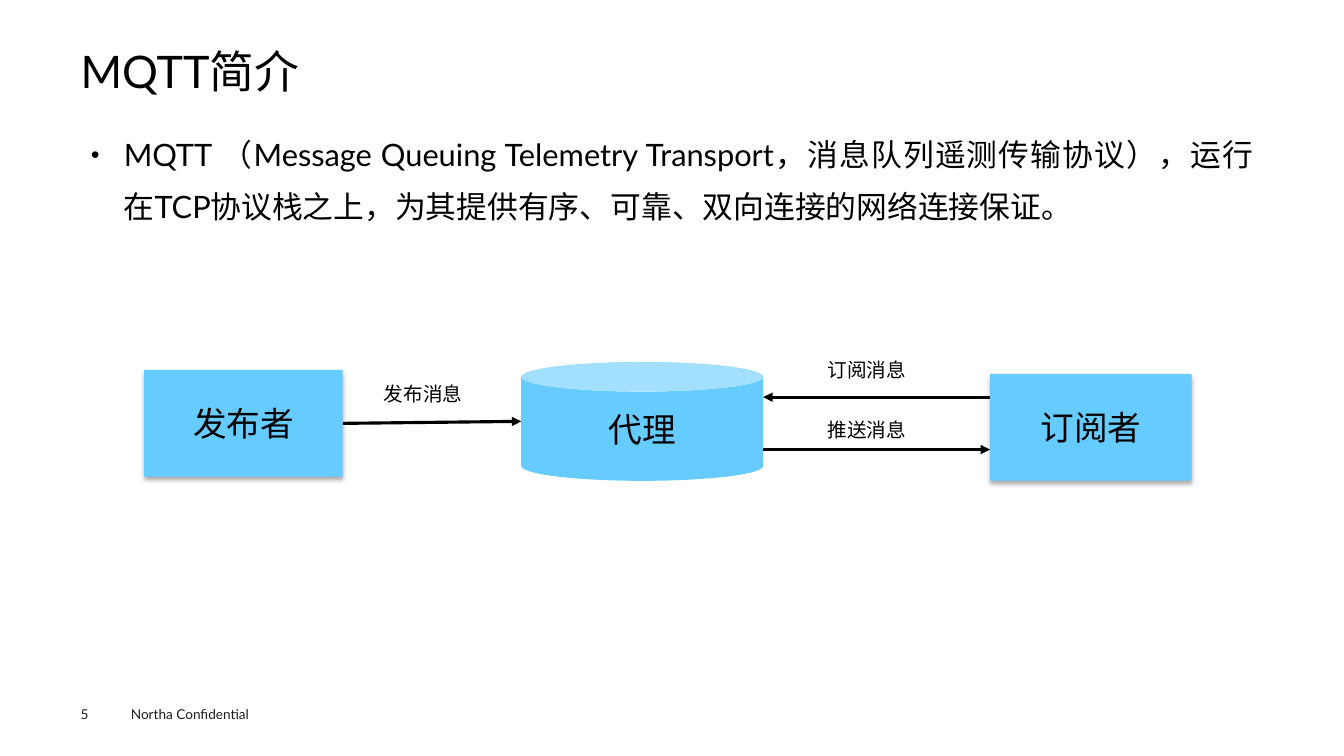
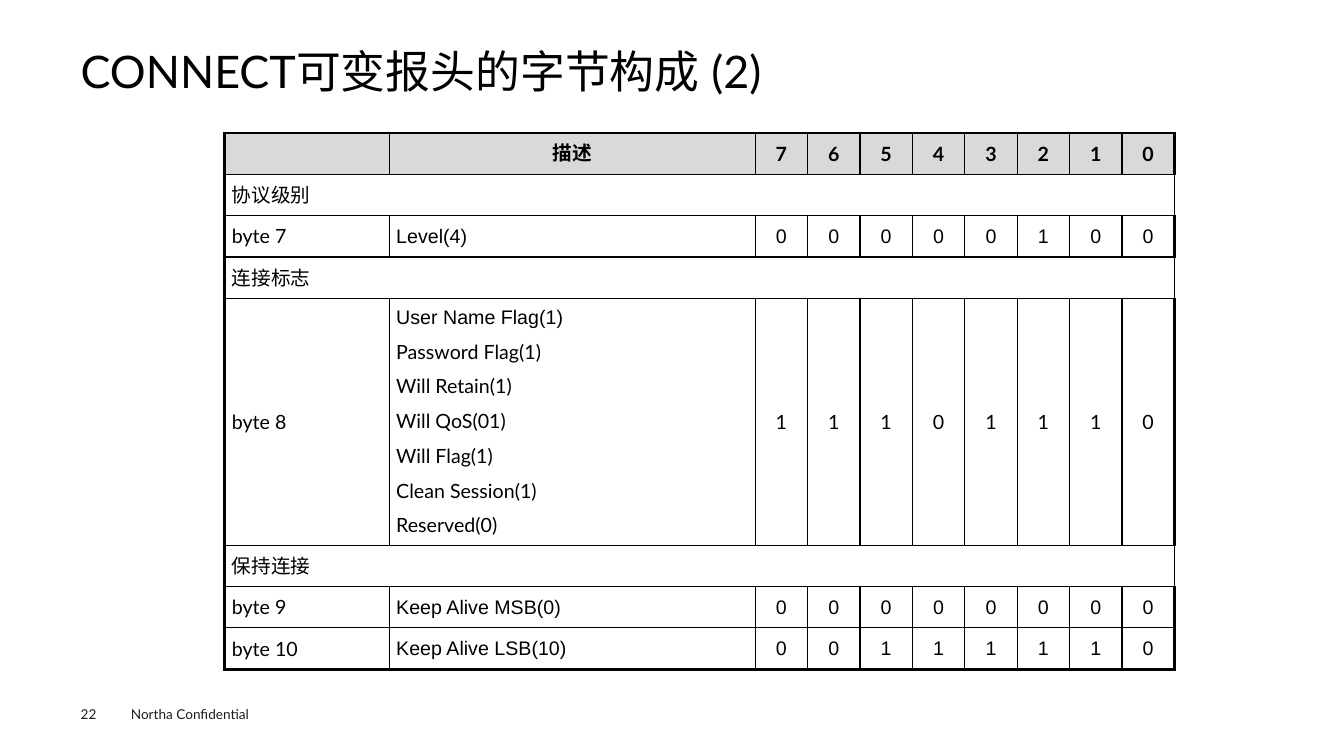
from pptx import Presentation
from pptx.dml.color import RGBColor
from pptx.enum.shapes import MSO_CONNECTOR, MSO_SHAPE
from pptx.enum.text import MSO_ANCHOR, PP_ALIGN
from pptx.oxml.ns import qn
from pptx.util import Inches, Pt
from lxml.etree import SubElement

COLORS = {"ink": "000000", "footer": "1D1D1B", "node": "66CCFF", "header": "D9D9D9"}
LATO, ARIAL, CJK = "Lato", "Arial", "Noto Sans CJK SC"
THIN, THICK = 1, 2.25
CELL_MARGIN = 0.07


def rgb(name):
    return RGBColor.from_string(COLORS[name])


def add_color(parent, name):
    return SubElement(parent, qn("a:srgbClr"), val=COLORS[name])


class Deck:
    def __init__(self):
        self.prs = Presentation()
        self.prs.slide_width, self.prs.slide_height = Inches(13.33), Inches(7.5)
        self.slide = None

    # Slide with its shared title and footer
    def new_slide(self, title, number):
        self.slide = self.prs.slides.add_slide(self.prs.slide_layouts[6])
        self.text("Northa Confidential", (1.2, 6.95, 1.6, 0.27), 9.7, color="footer")
        self.text(number, (0.8, 7, 0.55, 0.16), 9.7, color="footer", margin=0)
        heading = self.text(title, (0.8, 0.49, 11.73, 0.53), 32, margin=0)
        heading.line_spacing = 0.9

    def style(self, paragraph, size, font, color="ink", bold=False):
        for run in paragraph.runs:
            run.font.size, run.font.bold, run.font.name = Pt(size), bold, font
            run.font.color.rgb = rgb(color)
            props = run.font._element
            props.set("lang", "zh-CN")
            SubElement(props, qn("a:ea"), typeface=font)

    def text(self, words, box, size, font=LATO, color="ink", margin=None):
        frame = self.slide.shapes.add_textbox(*map(Inches, box)).text_frame
        frame.word_wrap = True
        if margin is not None:
            frame.margin_left = frame.margin_right = Inches(margin)
            frame.margin_top = frame.margin_bottom = Inches(margin)
        frame.text = words
        paragraph = frame.paragraphs[0]
        self.style(paragraph, size, font, color)
        return paragraph

    def bullet(self, words, box):
        paragraph = self.text(words, box, 22)
        paragraph.alignment = PP_ALIGN.JUSTIFY
        paragraph.line_spacing, paragraph.space_before = 1.4, Pt(7.9)
        props = paragraph._p.get_or_add_pPr()
        props.set("marL", str(Inches(0.33)))
        props.set("indent", str(-Inches(0.33)))
        SubElement(props, qn("a:buSzPct"), val="50000")
        SubElement(props, qn("a:buFont"), typeface=ARIAL)
        SubElement(props, qn("a:buChar"), char="●")

    def node(self, label, box, kind=MSO_SHAPE.RECTANGLE, shadow=True):
        shape = self.slide.shapes.add_shape(kind, *map(Inches, box))
        shape.shadow.inherit = False
        shape.fill.solid()
        shape.fill.fore_color.rgb = rgb("node")
        shape.line.fill.background()
        if shadow:
            effects = shape._element.spPr.find(qn("a:effectLst"))
            outer = SubElement(effects, qn("a:outerShdw"), blurRad=str(Pt(3.5)),
                               dist=str(Pt(2.2)), dir="5400000", rotWithShape="0")
            SubElement(add_color(outer, "ink"), qn("a:alpha"), val="32000")
        frame = shape.text_frame
        frame.text = label
        frame.vertical_anchor = MSO_ANCHOR.MIDDLE
        frame.paragraphs[0].alignment = PP_ALIGN.CENTER
        self.style(frame.paragraphs[0], 24, CJK)

    def arrow(self, start, end):
        line = self.slide.shapes.add_connector(
            MSO_CONNECTOR.STRAIGHT, *map(Inches, start + end))
        line.line.color.rgb = rgb("ink")
        line.line.width = Pt(THICK)
        SubElement(line.line._get_or_add_ln(), qn("a:tailEnd"), type="triangle")
        SubElement(line._element.spPr, qn("a:effectLst"))

    def table(self, left, top, widths, heights):
        table = self.slide.shapes.add_table(
            len(heights), len(widths), Inches(left), Inches(top),
            Inches(sum(widths)), Inches(sum(heights))).table
        for column, width in zip(table.columns, widths):
            column.width = Inches(width)
        for row, height in zip(table.rows, heights):
            row.height = Inches(height)
        # Thick outer frame, thin inner grid
        last_row, last_col = len(heights) - 1, len(widths) - 1
        for r in range(last_row + 1):
            for c in range(last_col + 1):
                outer = {"a:lnL": c == 0, "a:lnR": c == last_col,
                         "a:lnT": r == 0, "a:lnB": r == last_row}
                self.format_cell(table.cell(r, c), outer, header=r == 0)
        return table

    def format_cell(self, cell, outer, header):
        cell.margin_left = cell.margin_right = Inches(CELL_MARGIN)
        cell.margin_top = cell.margin_bottom = 0
        cell.vertical_anchor = MSO_ANCHOR.MIDDLE
        props = cell._tc.get_or_add_tcPr()
        for side, thick in outer.items():
            border = SubElement(props, qn(side), w=str(Pt(THICK if thick else THIN)))
            add_color(SubElement(border, qn("a:solidFill")), "ink")
        if header:
            cell.fill.solid()
            cell.fill.fore_color.rgb = rgb("header")
        else:
            cell.fill.background()

    def cell_text(self, cell, words, fonts=(LATO,), centered=False, bold=False):
        cell.text_frame.text = words
        for i, paragraph in enumerate(cell.text_frame.paragraphs):
            paragraph.alignment = PP_ALIGN.CENTER if centered else PP_ALIGN.LEFT
            paragraph.space_before = paragraph.space_after = Pt(4)
            self.style(paragraph, 14, fonts[min(i, len(fonts) - 1)], bold=bold)


deck = Deck()

# Slide 1: publisher, broker and subscriber
deck.new_slide("MQTT简介", "5")
deck.bullet("MQTT （Message Queuing Telemetry Transport，消息队列遥测传输协议），"
            "运行在TCP协议栈之上，为其提供有序、可靠、双向连接的网络连接保证。",
            (0.8, 1.15, 11.73, 5.34))
deck.arrow((3.4, 4.2), (5.17, 4.18))
deck.node("订阅者", (9.82, 3.71, 2, 1.06))
deck.node("发布者", (1.43, 3.67, 1.97, 1.06))
deck.node("代理", (5.17, 3.59, 2.4, 1.18), MSO_SHAPE.CAN, shadow=False)
deck.arrow((9.82, 3.94), (7.57, 3.94))
deck.arrow((7.57, 4.46), (9.82, 4.46))
for message, left, top in (("发布消息", 3.71, 3.74), ("订阅消息", 8.11, 3.5),
                           ("推送消息", 8.11, 4.1)):
    deck.text(message, (left, top, 1.38, 0.51), 14, CJK)

# Slide 2: bytes of the variable header
deck.new_slide("CONNECT可变报头的字节构成 (2)", "22")
FLAGS = ("User Name Flag(1)", "Password Flag(1)", "Will Retain(1)", "Will QoS(01)",
         "Will Flag(1)", "Clean Session(1)", "Reserved(0)")
# Each row: first cell, description, bits, font of the bits
ROWS = (
    ("", "描述", "76543210", LATO),
    ("协议级别",),
    ("byte 7", "Level(4)", "00000100", ARIAL),
    ("连接标志",),
    ("byte 8", "\n".join(FLAGS), "11101110", LATO),
    ("保持连接",),
    ("byte 9", "Keep Alive MSB(0)", "00000000", ARIAL),
    ("byte 10", "Keep Alive LSB(10)", "00111110", ARIAL),
)
heights = [2.45 if "\n" in "".join(row) else 0.41 for row in ROWS]
byte_table = deck.table(2.23, 1.32, [1.63, 3.63] + [0.52] * 8, heights)
for r, (name, *details) in enumerate(ROWS):
    header = r == 0
    deck.cell_text(byte_table.cell(r, 0), name)
    if not details:
        byte_table.cell(r, 0).merge(byte_table.cell(r, 9))
        continue
    description, bits, bit_font = details
    deck.cell_text(byte_table.cell(r, 1), description, (ARIAL, LATO), header, header)
    for c, bit in enumerate(bits, start=2):
        deck.cell_text(byte_table.cell(r, c), bit, (bit_font,), True, header)

deck.prs.save("out.pptx")
